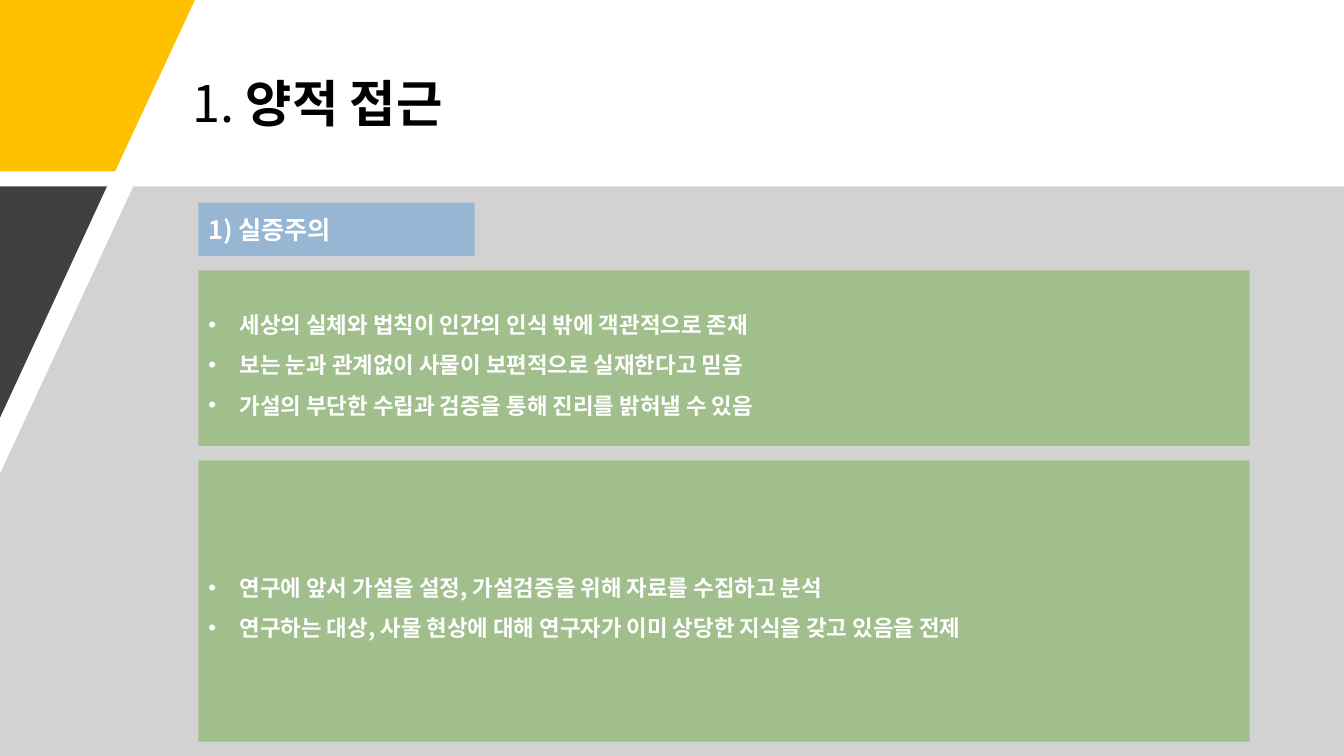
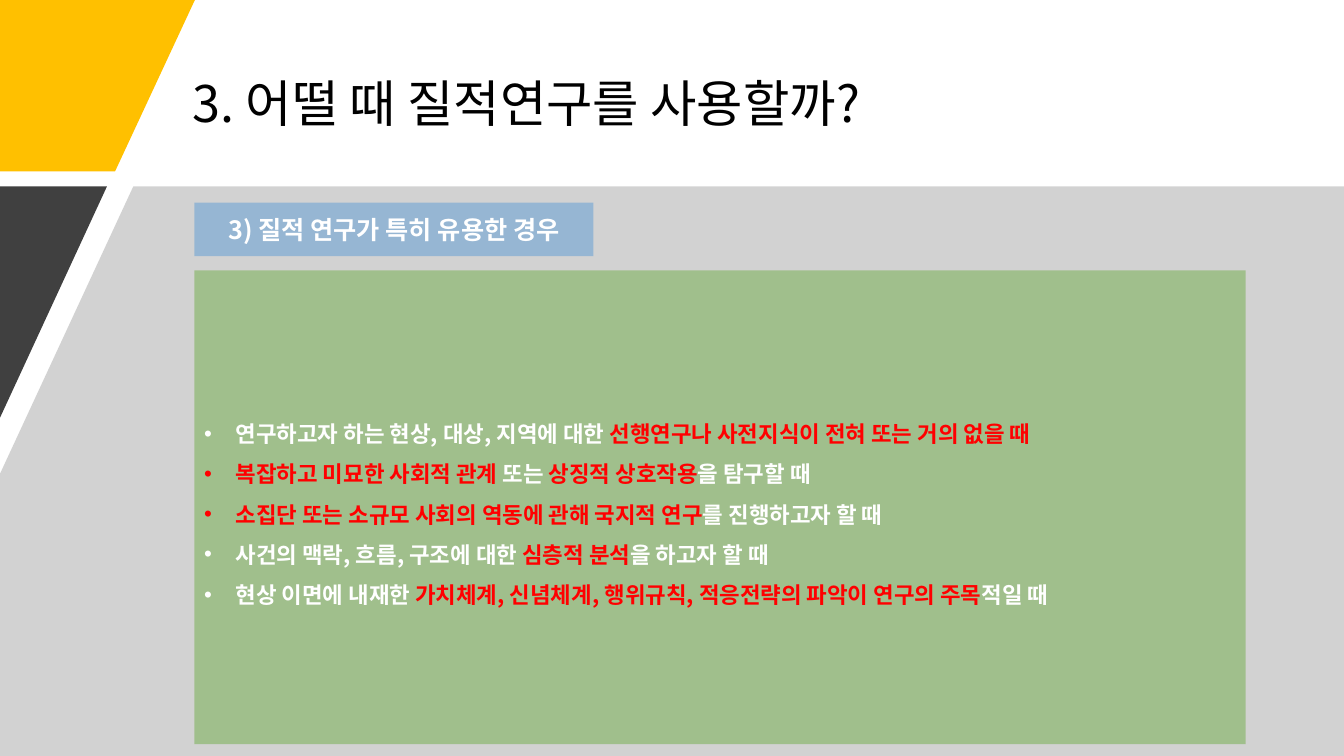
from dataclasses import dataclass

from pptx import Presentation
from pptx.dml.color import RGBColor
from pptx.enum.shapes import MSO_SHAPE as Preset
from pptx.enum.text import MSO_ANCHOR as Anchor, MSO_AUTO_SIZE as AutoSize, PP_ALIGN as Align
from pptx.oxml.ns import qn
from pptx.oxml.xmlchemy import OxmlElement
from pptx.util import Pt


@dataclass(frozen=True)
class Theme:
    font: str = "Noto Sans CJK KR"
    black: str = "000000"
    white: str = "FFFFFF"
    accent: str = "FF0000"
    yellow: str = "FFC000"
    gray: str = "A6A6A6"
    dark: str = "404040"
    blue: str = "5B9BD5"
    green: str = "70AD47"
    title_size: int = 36
    label_size: int = 18
    body_size: int = 16
    half_opaque: int = 50


THEME = Theme()
WIDTH, HEIGHT = 960, 540
TITLE_BOX = (130.3, 28.8, 737.3, 93.6)
BAND_TOP = 133.2
LABEL_TOP, LABEL_HEIGHT = 144.7, 38.2
PANEL_WIDTH, GAP, BULLET_INDENT = 751, 10.3, 22.5

# Outline, colour and opacity of the shared bands
BANDS = [
    ([(0, 0), (139.2, 0), (82.2, 122.4), (0, 122.4)], THEME.yellow, 100),
    ([(95.2, BAND_TOP), (WIDTH, BAND_TOP), (WIDTH, HEIGHT), (0, HEIGHT), (0, 338.4)],
     THEME.gray, THEME.half_opaque),
    ([(0, BAND_TOP), (76.4, BAND_TOP), (0, 298.4)], THEME.dark, 100),
]

# Asterisks enclose the emphasised words
SLIDES = [
    dict(
        title="1. *양적 접근*",
        label="1) 실증주의", label_width=197.3, label_align=Align.LEFT, left=141.7,
        panels=[
            (125.4, [
                "세상의 실체와 법칙이 인간의 인식 밖에 객관적으로 존재",
                "보는 눈과 관계없이 사물이 보편적으로 실재한다고 믿음",
                "가설의 부단한 수립과 검증을 통해 진리를 밝혀낼 수 있음",
            ]),
            (200.9, [
                "연구에 앞서 가설을 설정, 가설검증을 위해 자료를 수집하고 분석",
                "연구하는 대상, 사물 현상에 대해 연구자가 이미 상당한 지식을 갖고 있음을 전제",
            ]),
        ],
    ),
    dict(
        title="3. 어떨 때 질적연구를 사용할까?",
        label="3) 질적 연구가 특히 유용한 경우", label_width=285.1,
        label_align=Align.CENTER, left=138.8,
        panels=[
            (338.4, [
                "연구하고자 하는 현상, 대상, 지역에 대한 *선행연구나 사전지식이 전혀 또는 거의 없을 때*",
                "*복잡하고 미묘한 사회적 관계 *또는 *상징적 상호작용*을 탐구할 때",
                "*소집단 또는 소규모 사회의 역동에 관해 국지적 연구*를 진행하고자 할 때",
                "사건의 맥락, 흐름, 구조에 대한 *심층적 분석*을 하고자 할 때",
                "현상 이면에 내재한 *가치체계, 신념체계, 행위규칙, 적응전략의 파악이 연구의 주목*적일 때",
            ]),
        ],
    ),
]


def set_values(target, values):
    for name, value in values.items():
        setattr(target, name, value)


def paint(shape, color, opacity):
    shape.shadow.inherit = False
    shape.line.fill.background()
    shape.fill.solid()
    shape.fill.fore_color.rgb = RGBColor.from_string(color)
    if opacity < 100:
        alpha = OxmlElement("a:alpha")
        alpha.set("val", str(opacity * 1000))
        shape.element.spPr.find(".//" + qn("a:srgbClr")).append(alpha)


def write(paragraph, text, size, color, bold, strong_color=None):
    """Add runs; emphasised ones are bold and take strong_color."""
    for index, part in enumerate(text.split("*")):
        if not part:
            continue
        strong = index % 2 == 1
        run = paragraph.add_run()
        run.text = part
        set_values(run.font, dict(name=THEME.font, size=Pt(size), bold=bold or strong))
        run_color = strong_color if strong and strong_color else color
        run.font.color.rgb = RGBColor.from_string(run_color)
        east_asian = OxmlElement("a:ea")
        east_asian.set("typeface", THEME.font)
        run.font._element.find(qn("a:latin")).addnext(east_asian)


def add_bullet(paragraph):
    properties = paragraph._p.get_or_add_pPr()
    properties.set("marL", str(Pt(BULLET_INDENT)))
    properties.set("indent", str(-Pt(BULLET_INDENT)))
    for tag, name, value in (("a:buFont", "typeface", "Arial"), ("a:buChar", "char", "•")):
        element = OxmlElement(tag)
        element.set(name, value)
        properties.append(element)


def add_title(slide, text):
    title = slide.shapes.title
    names = ("left", "top", "width", "height")
    set_values(title, dict(zip(names, map(Pt, TITLE_BOX))))
    set_values(title.text_frame, dict(
        vertical_anchor=Anchor.MIDDLE, word_wrap=True, auto_size=AutoSize.NONE))
    paragraph = title.text_frame.paragraphs[0]
    set_values(paragraph, dict(alignment=Align.LEFT, line_spacing=0.9))
    write(paragraph, text, THEME.title_size, THEME.black, bold=False)


def add_bands(slide):
    for points, color, opacity in BANDS:
        corners = [(Pt(x), Pt(y)) for x, y in points]
        builder = slide.shapes.build_freeform(*corners[0])
        builder.add_line_segments(corners[1:], close=True)
        paint(builder.convert_to_shape(), color, opacity)


def add_box(slide, box, color, texts, size, align=Align.LEFT, bulleted=False):
    shape = slide.shapes.add_shape(Preset.RECTANGLE, *map(Pt, box))
    paint(shape, color, THEME.half_opaque)
    frame = shape.text_frame
    set_values(frame, dict(vertical_anchor=Anchor.MIDDLE, word_wrap=True))
    for index, text in enumerate(texts):
        paragraph = frame.add_paragraph() if index else frame.paragraphs[0]
        paragraph.alignment = align
        if bulleted:
            paragraph.line_spacing = 1.5
            add_bullet(paragraph)
        write(paragraph, text, size, THEME.white, bold=True, strong_color=THEME.accent)


def add_content(slide, content):
    left = content["left"]
    add_box(slide, (left, LABEL_TOP, content["label_width"], LABEL_HEIGHT), THEME.blue,
            [content["label"]], THEME.label_size, content["label_align"])
    # Panels stack below the label at equal gaps
    top = LABEL_TOP + LABEL_HEIGHT + GAP
    for height, lines in content["panels"]:
        add_box(slide, (left, top, PANEL_WIDTH, height), THEME.green,
                lines, THEME.body_size, bulleted=True)
        top += height + GAP


def main():
    presentation = Presentation()
    set_values(presentation, dict(slide_width=Pt(WIDTH), slide_height=Pt(HEIGHT)))
    title_only = presentation.slide_layouts[5]
    for content in SLIDES:
        slide = presentation.slides.add_slide(title_only)
        add_title(slide, content["title"])
        add_bands(slide)
        add_content(slide, content)
    presentation.save("out.pptx")


if __name__ == "__main__":
    main()
